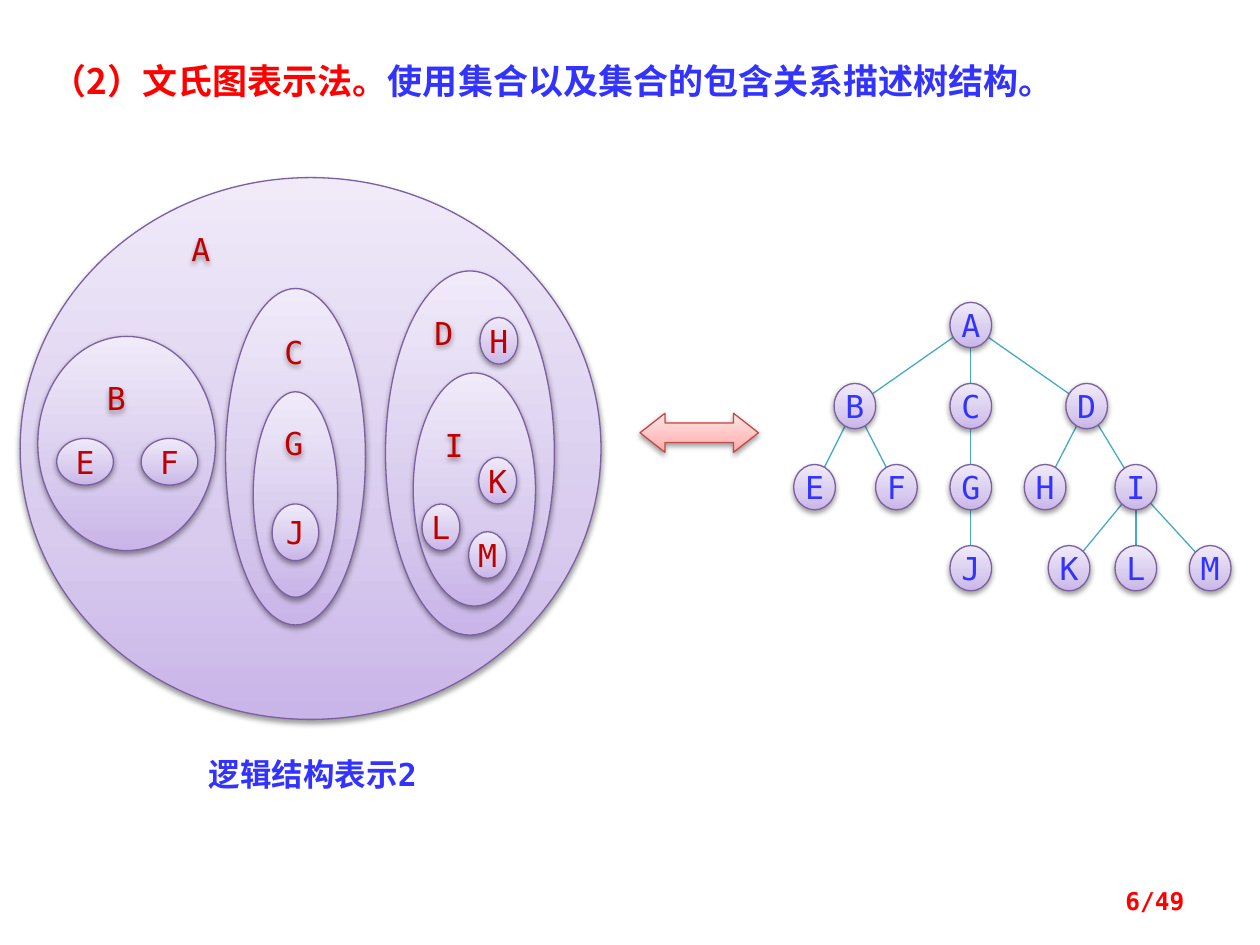
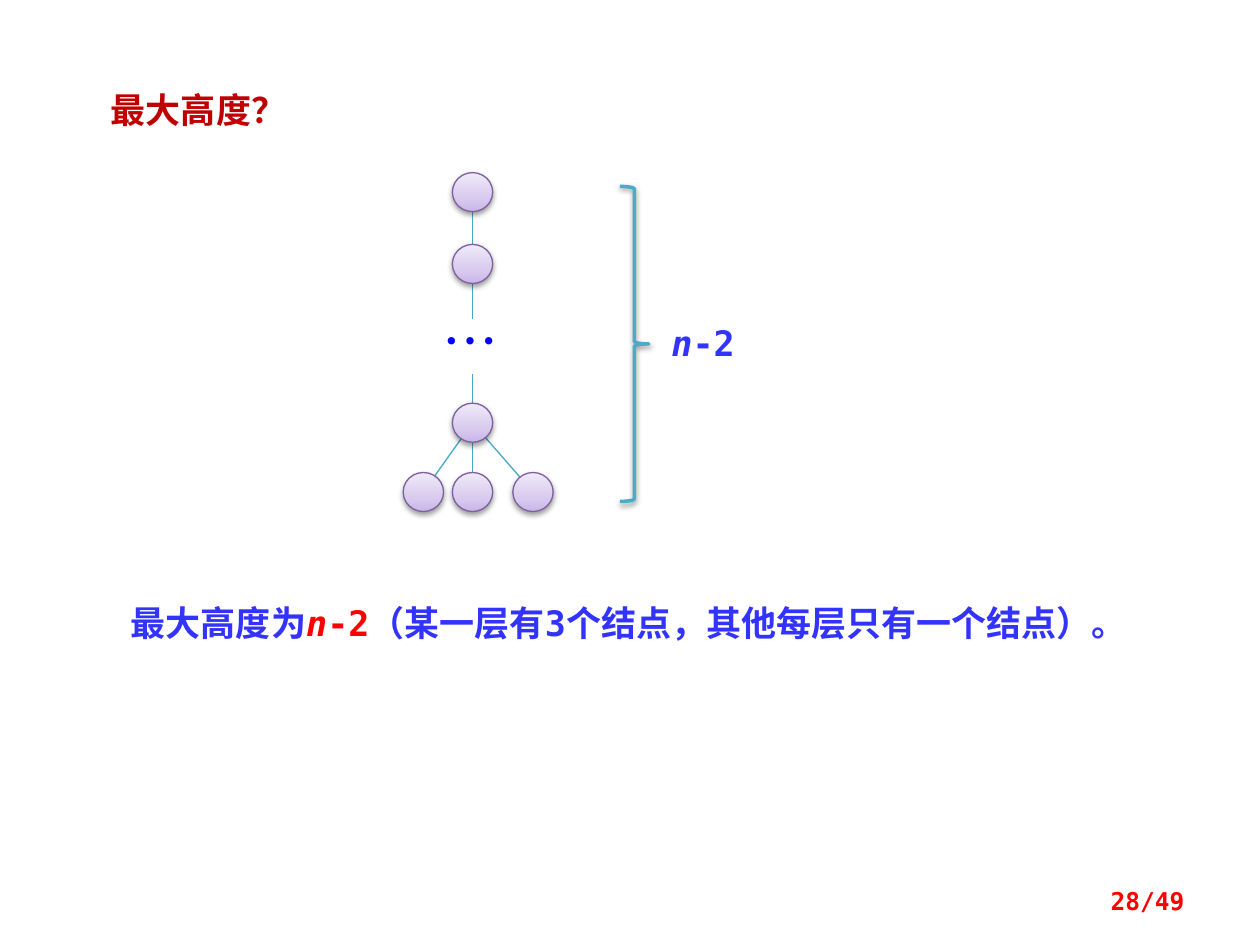
from copy import deepcopy
from dataclasses import dataclass
from math import hypot

from lxml.etree import SubElement
from pptx import Presentation
from pptx.dml.color import RGBColor
from pptx.enum.shapes import MSO_CONNECTOR, MSO_SHAPE
from pptx.enum.text import MSO_ANCHOR, MSO_AUTO_SIZE, PP_ALIGN
from pptx.oxml.ns import qn
from pptx.util import Inches, Pt


@dataclass(frozen=True)
class Theme:
    red: str = "FF0000"
    dark: str = "C00000"
    blue: str = "3333FF"
    bright: str = "0000FF"
    violet: str = "7D60A0"
    rust: str = "BF4C48"
    teal: str = "46AAC5"
    brace: str = "4BACC6"
    lilac: tuple = ("C9B5E8", "D8CBEE", "F0EAF9")
    pink: tuple = ("FFA6A5", "FFC0BF", "FFE7E7")
    stops: tuple = (0, 0.35, 1)
    mono: str = "DejaVu Sans Mono"
    sans: str = "Noto Sans CJK SC"
    serif: str = "Times New Roman"
    head: int = 20
    label: int = 18
    foot: int = 14
    dots: int = 32
    thin: float = 0.75


THEME = Theme()
COUNT = 49


def place(box, x, y, w, h):
    return box[0] + x, box[1] + y, w, h


def style(run, size, color, face=THEME.mono, bold=False, italic=False):
    font = run.font
    font.size, font.name = Pt(size), face
    font.bold, font.italic = bold, italic
    font.color.rgb = RGBColor.from_string(color)
    SubElement(font._element, qn("a:ea")).set("typeface", THEME.sans)


def fill_text(shape, runs, align=PP_ALIGN.LEFT, spacing=None):
    frame = shape.text_frame
    frame.word_wrap = True
    frame.auto_size = MSO_AUTO_SIZE.SHAPE_TO_FIT_TEXT
    frame.vertical_anchor = MSO_ANCHOR.TOP
    para = frame.paragraphs[0]
    para.alignment = align
    para._p.get_or_add_pPr().set("hangingPunct", "0")
    if spacing:
        para.line_spacing = spacing
    for text, looks in runs:
        run = para.add_run()
        run.text = text
        style(run, **looks)
    return shape


def add_text(slide, box, runs, **layout):
    shape = slide.shapes.add_textbox(*map(Inches, box))
    return fill_text(shape, runs, **layout)


def add_title(slide, box, runs):
    title = slide.shapes.title
    title.left, title.top, title.width, title.height = map(Inches, box)
    fill_text(title, runs, align=PP_ALIGN.JUSTIFY, spacing=1.1)


def add_foot(slide, number):
    looks = dict(size=THEME.foot, color=THEME.red, bold=True)
    foot = add_text(slide, (7.17, 6.95, 2.33, 0.4), [(f"{number}/{COUNT}", looks)],
                    align=PP_ALIGN.RIGHT)
    foot.text_frame.auto_size = MSO_AUTO_SIZE.NONE
    foot.text_frame.vertical_anchor = MSO_ANCHOR.MIDDLE


def add_shadow(shape):
    shape.shadow.inherit = False
    effects = shape._element.spPr.find(qn("a:effectLst"))
    outer = SubElement(effects, qn("a:outerShdw"), blurRad="40000", dist="20000",
                       dir="5400000", rotWithShape="0")
    color = SubElement(outer, qn("a:srgbClr"), val="000000")
    SubElement(color, qn("a:alpha"), val="38000")


def add_form(slide, kind, box, line, colors=None, width=THEME.thin):
    shape = slide.shapes.add_shape(kind, *map(Inches, box))
    shape.line.color.rgb = RGBColor.from_string(line)
    shape.line.width = Pt(width)
    add_shadow(shape)
    if colors is None:
        shape.fill.background()
        return shape
    shape.fill.gradient()
    shape.fill.gradient_angle = 90
    stops = shape._element.spPr.find(".//" + qn("a:gsLst"))
    stops.insert(1, deepcopy(stops[0]))
    for stop, color, at in zip(shape.fill.gradient_stops, colors, THEME.stops):
        stop.color.rgb = RGBColor.from_string(color)
        stop.position = at
    return shape


def add_node(slide, box, text="", color=THEME.blue):
    node = add_form(slide, MSO_SHAPE.OVAL, box, THEME.violet, THEME.lilac)
    if text:
        frame = node.text_frame
        frame.text = text
        frame.word_wrap = False
        frame.vertical_anchor = MSO_ANCHOR.MIDDLE
        frame.paragraphs[0].alignment = PP_ALIGN.CENTER
        style(frame.paragraphs[0].runs[0], THEME.label, color)
    return node


def add_line(slide, x1, y1, x2, y2):
    line = slide.shapes.add_connector(MSO_CONNECTOR.STRAIGHT, *map(Inches, (x1, y1, x2, y2)))
    line.line.color.rgb = RGBColor.from_string(THEME.teal)
    line.line.width = Pt(THEME.thin)
    SubElement(line._element.spPr, qn("a:effectLst"))


def link(slide, start, end):
    x1, y1, x2, y2 = (side + size / 2 for box in (start, end)
                      for side, size in zip(box[:2], box[2:]))
    dx, dy = x2 - x1, y2 - y1
    part = 1 / hypot(dx / (start[2] / 2), dy / (start[3] / 2))
    add_line(slide, x1 + dx * part, y1 + dy * part, x2 - dx * part, y2 - dy * part)


def draw_venn(slide, box):
    rings = [
        (0, 0, 4.61, 4.3), (0.14, 1.26, 1.41, 1.7), (1.63, 0.88, 1.11, 2.67),
        (1.85, 1.7, 0.67, 1.63), (2.9, 0.74, 1.34, 2.89), (3.12, 1.55, 0.97, 1.85),
    ]
    leaves = {
        "E": (0.29, 2.07, 0.45, 0.37), "F": (0.96, 2.07, 0.45, 0.37),
        "J": (2, 2.59, 0.37, 0.45), "H": (3.65, 1.11, 0.3, 0.37),
        "K": (3.64, 2.22, 0.3, 0.37), "L": (3.19, 2.59, 0.3, 0.37),
        "M": (3.56, 2.81, 0.3, 0.37),
    }
    names = {
        "A": (1.26, 0.37), "B": (0.59, 1.55), "C": (2, 1.18),
        "G": (2, 1.91), "D": (3.19, 1.03), "I": (3.27, 1.92),
    }
    for ring in rings:
        add_node(slide, place(box, *ring))
    for name, leaf in leaves.items():
        add_node(slide, place(box, *leaf), name, THEME.dark)
    looks = dict(size=THEME.label, color=THEME.dark)
    for name, (x, y) in names.items():
        add_shadow(add_text(slide, place(box, x, y, 0.37, 0.4), [(name, looks)]))


def draw_tree(slide, box):
    rows = [
        {"A": 1.24},
        {"B": 0.32, "C": 1.24, "D": 2.16},
        {"E": 0, "F": 0.65, "G": 1.24, "H": 1.83, "I": 2.55},
        {"J": 1.24, "K": 2.02, "L": 2.55, "M": 3.14},
    ]
    family = {"A": "BCD", "B": "EF", "C": "G", "D": "HI", "G": "J", "I": "KLM"}
    pitch = 1.93 / (len(rows) - 1)
    nodes = {name: place(box, x, row * pitch, 0.33, 0.36)
             for row, names in enumerate(rows) for name, x in names.items()}
    for parent, children in family.items():
        for child in children:
            link(slide, nodes[parent], nodes[child])
    for name, spot in nodes.items():
        add_node(slide, spot, name)


def draw_chain(slide, box):
    spots = [(0.39, 0), (0.39, 0.57), (0.39, 1.83), (0, 2.38), (0.39, 2.38), (0.87, 2.38)]
    nodes = [place(box, x, y, 0.32, 0.31) for x, y in spots]
    first, second, fork, *leaves = nodes
    link(slide, first, second)
    for leaf in leaves:
        link(slide, fork, leaf)
    for top, bottom in ((0.84, 1.16), (1.6, 1.91)):
        add_line(slide, box[0] + 0.55, box[1] + top, box[0] + 0.55, box[1] + bottom)
    looks = dict(size=THEME.dots, color=THEME.bright, face=THEME.sans)
    frame = add_text(slide, place(box, 0.31, 1.06, 0.63, 0.54), [("…", looks)]).text_frame
    frame.margin_left = frame.margin_right = frame.margin_top = frame.margin_bottom = 0
    for node in nodes:
        add_node(slide, node)


def draw_span(slide, box, runs):
    add_form(slide, MSO_SHAPE.RIGHT_BRACE, place(box, 0, 0, 0.23, 2.5), THEME.brace, width=2)
    add_text(slide, place(box, 0.31, 1.02, 0.78, 0.44), runs)


def build_sets(slide):
    looks = dict(size=THEME.head, bold=True)
    add_title(slide, (0.31, 0.39, 8.75, 0.47), [
        ("（2）文氏图表示法。", dict(looks, color=THEME.red, face=THEME.sans)),
        ("使用集合以及集合的包含关系描述树结构。", dict(looks, color=THEME.blue, face=THEME.serif)),
    ])
    draw_venn(slide, (0.16, 1.41))
    add_text(slide, (1.56, 5.94, 1.98, 0.4),
             [("逻辑结构表示2", dict(size=THEME.label, color=THEME.blue, bold=True))])
    arrow = add_form(slide, MSO_SHAPE.LEFT_RIGHT_ARROW, (5.08, 3.28, 0.94, 0.31),
                     THEME.rust, THEME.pink)
    arrow.adjustments[1] = 0.64
    draw_tree(slide, (6.3, 2.4))
    add_foot(slide, 6)


def build_height(slide):
    looks = dict(size=THEME.head, bold=True)
    blue, red = dict(looks, color=THEME.blue), dict(looks, color=THEME.red)
    add_title(slide, (0.78, 0.62, 2.69, 0.45),
              [("最大高度？", dict(looks, color=THEME.dark, face=THEME.sans))])
    draw_chain(slide, (3.2, 1.37))
    draw_span(slide, (4.92, 1.48), [("n", dict(blue, italic=True)), ("-2", blue)])
    add_text(slide, (0.94, 4.69, 8.36, 0.45), [
        ("最大高度为", blue), ("n", dict(red, italic=True)), ("-2", red),
        ("（某一层有3个结点，其他每层只有一个结点）。", blue),
    ], align=PP_ALIGN.JUSTIFY, spacing=1.1)
    add_foot(slide, 28)


def main():
    deck = Presentation()
    deck.slide_width, deck.slide_height = Inches(10), Inches(7.5)
    for build in (build_sets, build_height):
        build(deck.slides.add_slide(deck.slide_layouts[5]))
    deck.save("out.pptx")


if __name__ == "__main__":
    main()
